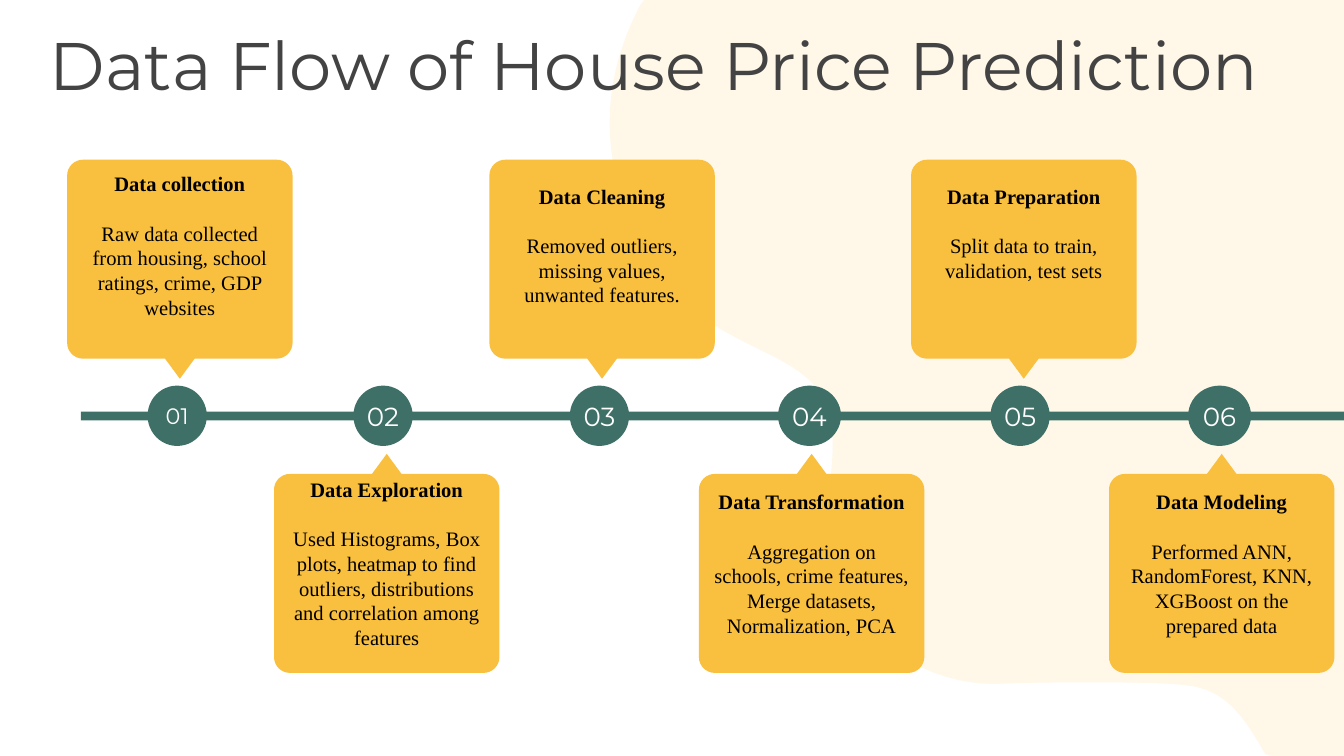
from math import cos, pi, sin

from pptx import Presentation
from pptx.dml.color import RGBColor
from pptx.enum.shapes import MSO_SHAPE as Preset
from pptx.enum.text import MSO_ANCHOR as Anchor, MSO_AUTO_SIZE as AutoSize, PP_ALIGN as Align
from pptx.util import Cm, Pt

COLORS = {"cream": "FFF8E9", "amber": "F9BF3E", "teal": "3E7067",
          "title": "434343", "ink": "000000", "white": "FFFFFF"}
WIDTH, HEIGHT = 25.4, 14.29
CARD_WIDTH, CARD_HEIGHT, TAIL = 4.26, 4.14, 0.38
UPPER_TOP, LOWER_TOP = 3.02, 8.58
DISC_TOP, DISC_HEIGHT = 7.29, 1.14

# Card left, text inset, disc centre, disc width, number size, heading, body
STEPS = [
    (1.27, 0.22, 3.35, 1.12, 12, "Data collection",
     "Raw data collected from housing, school ratings, crime, GDP websites"),
    (5.18, 0.44, 7.24, 1.12, 14, "Data Exploration",
     "Used Histograms, Box plots, heatmap to find outliers, distributions "
     "and correlation among features"),
    (9.25, 0.45, 11.33, 1.12, 14, "Data Cleaning",
     "Removed outliers, missing values, unwanted features."),
    (13.21, 0.67, 15.3, 1.19, 14, "Data Transformation",
     "Aggregation on schools, crime features, Merge datasets, Normalization, PCA"),
    (17.22, 0.45, 19.28, 1.12, 14, "Data Preparation",
     "Split data to train, validation, test sets"),
    (20.96, 0.67, 23.05, 1.19, 14, "Data Modeling",
     "Performed ANN, RandomForest, KNN, XGBoost on the prepared data"),
]

BLOB_START = (12.32, -0.28)
BLOB_CURVES = [
    ((11.73, 0.66), (11.38, 1.78), (11.58, 3.02)),
    ((12.19, 6.93), (15.24, 6.17), (15.67, 7.8)),
    ((15.77, 8.18), (15.75, 8.69), (15.67, 9.25)),
    ((15.34, 11.2), (16.87, 12.93), (18.8, 12.93)),
    ((19.46, 12.9), (20.02, 12.9), (20.55, 12.9)),
    ((21.23, 12.9), (21.87, 12.9), (22.4, 12.95)),
    ((24.28, 13.13), (23.6, 16.03), (27.2, 16.94)),
]


def color(name):
    return RGBColor.from_string(COLORS[name])


def paint(shape, name):
    shape.shadow.inherit = False
    shape.fill.solid()
    shape.fill.fore_color.rgb = color(name)
    shape.line.fill.background()
    return shape


def style(para, font, size, name, bold=False, align=Align.CENTER):
    para.alignment = align
    for span in para.runs:
        span.font.name = font
        span.font.size = Pt(size)
        span.font.bold = bold
        span.font.color.rgb = color(name)


def outline(page, points, name):
    corners = [(Cm(x), Cm(y)) for x, y in points]
    builder = page.shapes.build_freeform(*corners[0])
    builder.add_line_segments(corners[1:], close=True)
    return paint(builder.convert_to_shape(), name)


def bezier(start, first, second, end, steps=24):
    for step in range(1, steps + 1):
        t = step / steps
        weights = ((1 - t) ** 3, 3 * t * (1 - t) ** 2, 3 * t * t * (1 - t), t ** 3)
        yield tuple(sum(w * p[axis] for w, p in zip(weights, (start, first, second, end)))
                    for axis in (0, 1))


def add_backdrop(page, width, height):
    points, last = [BLOB_START], BLOB_START
    for curve in BLOB_CURVES:
        points += bezier(last, *curve)
        last = curve[-1]
    points.append((width, 0))
    # Keep the outline inside the page
    inside = [(min(x, width), min(max(y, 0), height)) for x, y in points]
    blob = outline(page, inside, "cream")
    page.shapes.title.element.addprevious(blob.element)


def add_title(page, left, top, width, height):
    title = page.shapes.title
    title.left, title.top, title.width, title.height = map(Cm, (left, top, width, height))
    frame = title.text_frame
    frame.text = "Data Flow of House Price Prediction"
    frame.auto_size = AutoSize.NONE
    frame.vertical_anchor = Anchor.BOTTOM
    frame.margin_left = frame.margin_right = Cm(0.25)
    frame.margin_top = frame.margin_bottom = Cm(0.25)
    style(frame.paragraphs[0], "Montserrat", 36, "title", align=Align.LEFT)


def add_card(page, left, top, width, height, heading, body, inset, tail_up):
    radius, half_tail, base = 0.3, 0.28, height - TAIL
    middle = width / 2
    points = []
    # Rounded corners, clockwise from the top left
    centers = [(radius, radius), (width - radius, radius),
               (width - radius, base - radius), (radius, base - radius)]
    for index, (x, y) in enumerate(centers):
        for step in range(9):
            angle = pi + (index + step / 8) * pi / 2
            points.append((x + radius * cos(angle), y + radius * sin(angle)))
        if index == 2:
            points += [(middle + half_tail, base), (middle, height),
                       (middle - half_tail, base)]
    card = outline(page, [(left + x, top + (height - y if tail_up else y))
                          for x, y in points], "amber")
    frame = card.text_frame
    frame.word_wrap = True
    frame.vertical_anchor = Anchor.TOP
    frame.margin_left = frame.margin_right = Cm(0.25)
    frame.margin_top, frame.margin_bottom = Cm(inset), 0
    frame.text = f"{heading}\n{body}"
    for para, bold in zip(frame.paragraphs, (True, False)):
        style(para, "Times New Roman", 11, "ink", bold)
        para.line_spacing = Pt(13.2)
    frame.paragraphs[1].space_before = Pt(13.2)


def add_disc(page, left, top, width, height, label, size):
    disc = paint(page.shapes.add_shape(
        Preset.OVAL, Cm(left), Cm(top), Cm(width), Cm(height)), "teal")
    frame = disc.text_frame
    frame.word_wrap = False
    frame.vertical_anchor = Anchor.MIDDLE
    frame.margin_left = frame.margin_right = frame.margin_top = frame.margin_bottom = 0
    frame.text = label
    style(frame.paragraphs[0], "Montserrat", size, "white")


def add_timeline(page, left, top, width, height):
    paint(page.shapes.add_shape(
        Preset.RECTANGLE, Cm(left), Cm(top), Cm(width), Cm(height)), "teal")
    for number, (card_left, inset, center, disc_width, size, heading, body) in enumerate(STEPS, 1):
        below = number % 2 == 0
        add_card(page, card_left, LOWER_TOP if below else UPPER_TOP,
                 CARD_WIDTH, CARD_HEIGHT, heading, body, inset, below)
        add_disc(page, center - disc_width / 2, DISC_TOP, disc_width, DISC_HEIGHT,
                 f"{number:02}", size)


def main():
    deck = Presentation()
    deck.slide_width, deck.slide_height = Cm(WIDTH), Cm(HEIGHT)
    page = deck.slides.add_slide(deck.slide_layouts[5])
    add_backdrop(page, WIDTH, HEIGHT)
    add_title(page, 0.69, 0.36, 25.48, 1.85)
    add_timeline(page, 1.53, 7.78, WIDTH - 1.53, 0.17)
    deck.save("out.pptx")


if __name__ == "__main__":
    main()
